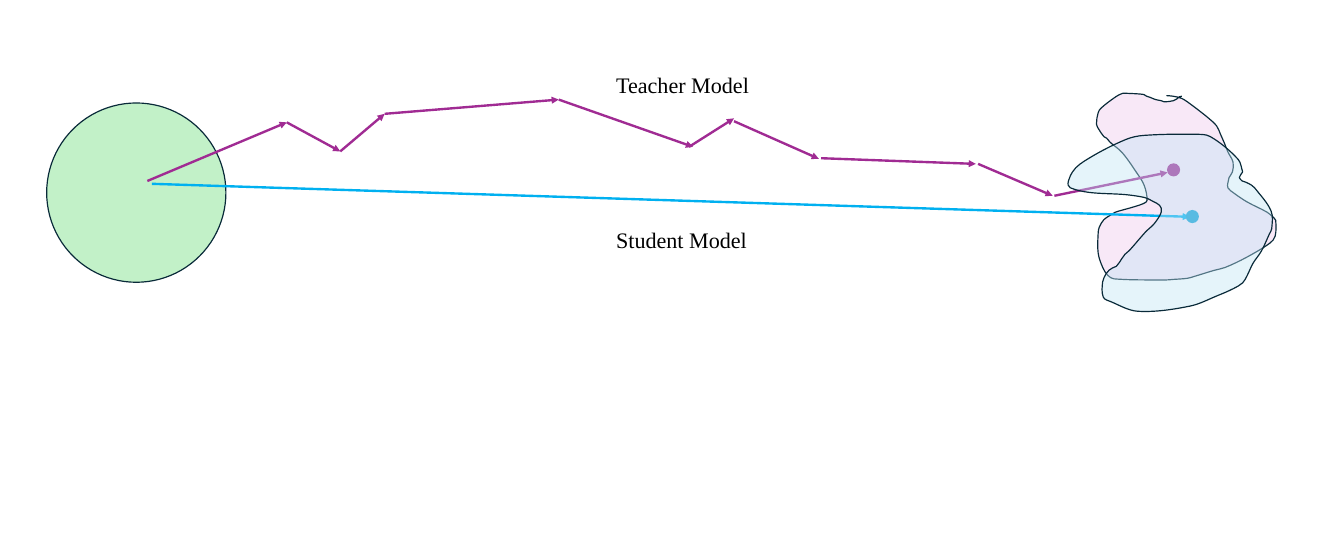
from math import hypot
from pptx import Presentation
from pptx.dml.color import RGBColor
from pptx.enum import shapes, text
from pptx.oxml import parse_xml
from pptx.oxml.ns import nsdecls, qn
from pptx.util import Inches, Pt

PURPLE = RGBColor(0xA0, 0x2B, 0x93)
SKY = RGBColor(0x00, 0xB0, 0xF0)
BLUE = RGBColor(0x0F, 0x9E, 0xD5)
GREEN = RGBColor(0xC2, 0xF1, 0xC8)
PINK = RGBColor(0xF2, 0xCF, 0xEE)
PALE = RGBColor(0xC1, 0xE5, 0xF5)
NAVY = RGBColor(0x09, 0x2A, 0x39)
BLACK = RGBColor(0, 0, 0)

FONT = "Times New Roman"
LABELS = [("Teacher Model", 10.73, 1.21, 2.56), ("Student Model", 10.73, 3.93, 2.52)]

STEPS = [
    (5.04, 2.15, 5.98, 2.66), (5.98, 2.66, 6.76, 2), (6.76, 2, 9.82, 1.75),
    (9.82, 1.75, 12.18, 2.58), (12.11, 2.58, 12.9, 2.08), (12.9, 2.13, 14.39, 2.79),
    (14.43, 2.78, 17.15, 2.88), (17.19, 2.88, 18.5, 3.44),
]
ENDS = [(18.53, 3.44, 20.52, 3.03), (2.59, 3.18, 5.04, 2.15)]
DIRECT = (2.67, 3.23, 20.91, 3.81)

TEACHER = [
    (20.5, 1.68), (20.61, 1.69), (20.77, 1.73), (20.95, 1.85), (21.12, 1.98),
    (21.22, 2.06), (21.38, 2.21), (21.45, 2.36), (21.52, 2.52), (21.58, 2.67),
    (21.67, 2.85), (21.66, 3.02), (21.6, 3.12), (21.58, 3.21), (21.58, 3.3),
    (21.68, 3.39), (21.92, 3.55), (22.27, 3.73), (22.39, 3.83), (22.42, 3.87),
    (22.41, 4.15), (22.32, 4.27), (21.91, 4.52), (21.53, 4.7), (21.34, 4.75),
    (20.98, 4.86), (20.87, 4.89), (20.62, 4.91), (20.47, 4.92), (19.58, 4.9),
    (19.47, 4.84), (19.38, 4.7), (19.3, 4.45), (19.3, 4.09), (19.32, 3.99),
    (19.4, 3.86), (19.5, 3.79), (19.6, 3.73), (19.91, 3.64), (20.11, 3.57),
    (20.16, 3.52), (20.11, 3.26), (19.98, 3.04), (19.72, 2.68), (19.51, 2.5),
    (19.45, 2.43), (19.4, 2.4), (19.31, 2.27), (19.27, 2.18), (19.3, 1.98),
    (19.35, 1.9), (19.61, 1.7), (19.73, 1.64), (19.81, 1.64), (20.1, 1.66),
    (20.15, 1.69), (20.21, 1.71), (20.31, 1.75), (20.41, 1.77), (20.46, 1.79),
    (20.62, 1.77), (20.68, 1.74), (20.73, 1.7), (20.77, 1.69),
]
STUDENT = [
    (21.84, 3.02), (21.76, 2.8), (21.27, 2.4), (21, 2.36), (20.1, 2.38),
    (19.79, 2.45), (19.14, 2.78), (18.85, 3.02), (18.81, 3.3), (19.87, 3.43),
    (20.11, 3.47), (20.21, 3.51), (20.41, 3.66), (20.31, 3.9), (20.13, 4.08),
    (19.85, 4.4), (19.77, 4.47), (19.72, 4.54), (19.62, 4.68), (19.55, 4.71),
    (19.49, 4.75), (19.44, 4.81), (19.38, 4.95), (19.39, 5.22), (19.52, 5.3),
    (20, 5.47), (20.91, 5.38), (21.41, 5.19), (21.68, 5.07), (21.84, 4.97),
    (21.92, 4.84), (22.02, 4.63), (22.17, 4.41), (22.31, 4.11), (22.35, 4.02),
    (22.34, 3.71), (22.05, 3.3), (21.99, 3.25), (21.89, 3.2), (21.83, 3.18),
    (21.8, 3.15), (21.78, 3.12), (21.84, 3.02),
]

deck = Presentation()
deck.slide_width, deck.slide_height = Inches(23.62), Inches(9.84)
slide = deck.slides.add_slide(deck.slide_layouts[6])
tree = slide.shapes


def bend(shape):
    props = shape._element.spPr
    knots = [(int(p.get("x")), int(p.get("y"))) for p in props.iter(qn("a:pt"))]
    dirs = []
    for i in range(len(knots)):
        (ax, ay), (bx, by) = knots[max(i - 1, 0)], knots[min(i + 1, len(knots) - 1)]
        size = hypot(bx - ax, by - ay)
        dirs.append(((bx - ax) / size, (by - ay) / size))
    lines = list(props.iter(qn("a:lnTo")))
    for line, p, q, d, e in zip(lines, knots, knots[1:], dirs, dirs[1:]):
        grip = hypot(q[0] - p[0], q[1] - p[1]) / 3
        first = (p[0] + d[0] * grip, p[1] + d[1] * grip)
        second = (q[0] - e[0] * grip, q[1] - e[1] * grip)
        dots = "".join(f'<a:pt x="{round(x)}" y="{round(y)}"/>' for x, y in (first, second, q))
        curve = parse_xml(f'<a:cubicBezTo {nsdecls("a")}>{dots}</a:cubicBezTo>')
        line.getparent().replace(line, curve)


def paint(shape, fill, edge):
    shape.shadow.inherit = False
    shape.fill.solid()
    shape.fill.fore_color.rgb = fill
    shape.line.color.rgb = edge
    shape.line.width = Pt(1.5)


def blob(knots, fill, alpha, close):
    spots = [(Inches(x), Inches(y)) for x, y in knots]
    pen = tree.build_freeform(*spots[0])
    pen.add_line_segments(spots[1:], close=close)
    shape = pen.convert_to_shape()
    bend(shape)
    paint(shape, fill, NAVY)
    tone = shape._element.spPr.find(qn("a:solidFill"))[0]
    tone.append(parse_xml(f'<a:alpha {nsdecls("a")} val="{alpha * 1000}"/>'))


def disc(x, y, size, fill, edge):
    shape = tree.add_shape(shapes.MSO_SHAPE.OVAL, Inches(x), Inches(y), Inches(size), Inches(size))
    paint(shape, fill, edge)


def arrow(ends, color):
    line = tree.add_connector(shapes.MSO_CONNECTOR.STRAIGHT, *map(Inches, ends))
    line.line.color.rgb = color
    line.line.width = Pt(3)
    props = line._element.spPr
    props.find(qn("a:ln")).append(parse_xml(f'<a:tailEnd {nsdecls("a")} type="triangle"/>'))
    props.append(parse_xml(f'<a:effectLst {nsdecls("a")}/>'))


def label(words, x, y, width):
    box = tree.add_textbox(Inches(x), Inches(y), Inches(width), Inches(0.57))
    frame = box.text_frame
    frame.word_wrap = False
    frame.auto_size = text.MSO_AUTO_SIZE.SHAPE_TO_FIT_TEXT
    para = frame.paragraphs[0]
    para.text = words
    para.font.name, para.font.size = FONT, Pt(28)
    para.font.color.rgb = BLACK


for step in STEPS:
    arrow(step, PURPLE)
blob(TEACHER, PINK, 47, False)
disc(0.82, 1.81, 3.15, GREEN, NAVY)
for step in ENDS:
    arrow(step, PURPLE)
arrow(DIRECT, SKY)
disc(20.52, 2.88, 0.21, PURPLE, PURPLE)
disc(20.85, 3.7, 0.21, BLUE, BLUE)
label(*LABELS[0])
blob(STUDENT, PALE, 41, True)
label(*LABELS[1])

deck.save("out.pptx")
